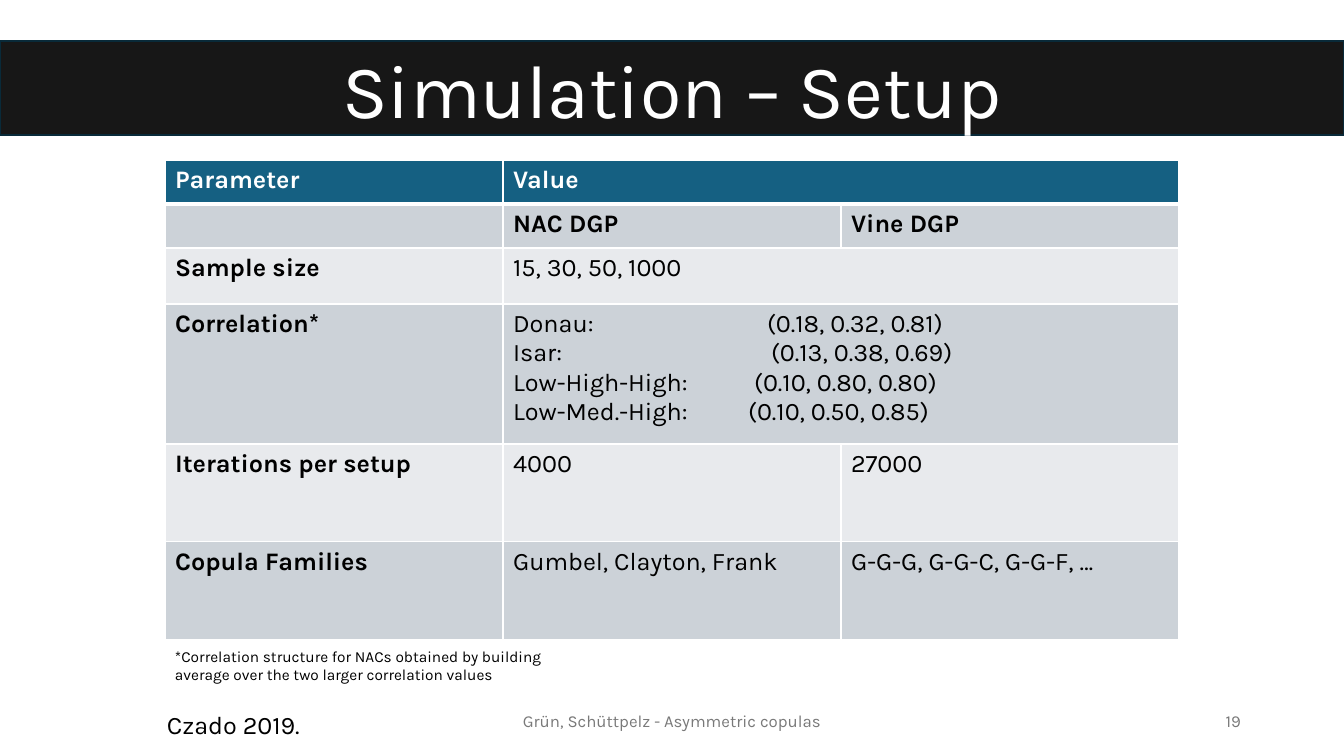
from lxml import etree
from pptx import Presentation
from pptx.dml.color import RGBColor
from pptx.enum.text import MSO_ANCHOR, MSO_AUTO_SIZE, PP_ALIGN
from pptx.oxml.ns import qn
from pptx.util import Pt

LEFT, MID, RIGHT = PP_ALIGN.LEFT, PP_ALIGN.CENTER, PP_ALIGN.RIGHT
TOP, CENTER = MSO_ANCHOR.TOP, MSO_ANCHOR.MIDDLE
FIXED = MSO_AUTO_SIZE.NONE

WHITE = RGBColor(0xFF, 0xFF, 0xFF)
BLACK = RGBColor(0, 0, 0)
INK = RGBColor(0x17, 0x17, 0x17)
EDGE = RGBColor(0x09, 0x2A, 0x39)
GREY = RGBColor(0x79, 0x79, 0x79)
BLUE = RGBColor(0x15, 0x60, 0x82)
DARK = RGBColor(0xCC, 0xD2, 0xD8)
LIGHT = RGBColor(0xE8, 0xEA, 0xED)

SCALE = 914400 / 100.8
COLS = [338, 338, 338]
ROWS = [
    (44, ["Parameter", "Value"]),
    (44, ["", "NAC DGP", "Vine DGP"]),
    (56, ["Sample size", "15, 30, 50, 1000"]),
    (140, ["Correlation*", [
        ("Donau:", "(0.18, 0.32, 0.81)", 254),
        ("Isar:", "(0.13, 0.38, 0.69)", 258),
        ("Low-High-High:", "(0.10, 0.80, 0.80)", 241),
        ("Low-Med.-High:", "(0.10, 0.50, 0.85)", 235),
    ]]),
    (98, ["Iterations per setup", "4000", "27000"]),
    (98, ["Copula Families", "Gumbel, Clayton, Frank", "G-G-G, G-G-C, G-G-F, …"]),
]


def px(n):
    return round(n * SCALE)


def style(para, size, color, bold=False, align=LEFT):
    para.alignment = align
    para.line_spacing = 1.0
    looks = {"name": "Karla", "size": Pt(size), "bold": bold}
    for key, val in looks.items():
        setattr(para.font, key, val)
    para.font.color.rgb = color


def place(shape, box):
    for key, val in zip(("left", "top", "width", "height"), box):
        setattr(shape, key, px(val))


def write(shape, text, size, color, align=LEFT, anchor=CENTER):
    frame = shape.text_frame
    looks = {"word_wrap": True, "auto_size": FIXED, "vertical_anchor": anchor}
    for key, val in looks.items():
        setattr(frame, key, val)
    frame.text = text
    style(frame.paragraphs[0], size, color, align=align)


def banner(slide, text):
    title = slide.shapes.title
    place(title, (0, 41, 1344, 94))
    title.fill.solid()
    title.fill.fore_color.rgb = INK
    title.line.color.rgb = EDGE
    title.line.width = Pt(1.5)
    write(title, text, 54, WHITE, MID)


def label(slide, box, text, size, color, align=LEFT, anchor=CENTER):
    shape = slide.shapes.add_textbox(*map(px, box))
    write(shape, text, size, color, align, anchor)


def rule(cell, side, width):
    line = etree.SubElement(cell._tc.get_or_add_tcPr(), qn("a:ln" + side), w=str(Pt(width)))
    fill = etree.SubElement(line, qn("a:solidFill"))
    etree.SubElement(fill, qn("a:srgbClr"), val=str(WHITE))


def paint(cell, color, head):
    for side in "LRTB":
        rule(cell, side, 3 if head and side == "B" else 1)
    cell.fill.solid()
    cell.fill.fore_color.rgb = color


def pairs(cell, items, color):
    frame = cell.text_frame
    frame.text = "\n".join(f"{name}\t{vals}" for name, vals, _ in items)
    for para, (_, _, stop) in zip(frame.paragraphs, items):
        tabs = etree.SubElement(para._p.get_or_add_pPr(), qn("a:tabLst"))
        etree.SubElement(tabs, qn("a:tab"), pos=str(px(stop)), algn="l")
        style(para, 18, color)


def grid(slide, left, top):
    high = sum(size for size, _ in ROWS)
    box = (left, top, sum(COLS), high)
    table = slide.shapes.add_table(len(ROWS), len(COLS), *map(px, box)).table
    for col, wide in zip(table.columns, COLS):
        col.width = px(wide)
    for r, (size, texts) in enumerate(ROWS):
        table.rows[r].height = px(size)
        back = BLUE if r == 0 else DARK if r % 2 else LIGHT
        ink = WHITE if r == 0 else BLACK
        for c in range(len(COLS)):
            paint(table.cell(r, c), back, r == 0)
        if len(texts) < len(COLS):
            table.cell(r, 1).merge(table.cell(r, 2))
        for c, text in enumerate(texts):
            cell = table.cell(r, c)
            if isinstance(text, list):
                pairs(cell, text, ink)
            else:
                cell.text = text
                style(cell.text_frame.paragraphs[0], 18, ink, r < 2 or c == 0)


def main():
    deck = Presentation()
    deck.slide_width, deck.slide_height = px(1344), px(756)
    slide = deck.slides.add_slide(deck.slide_layouts[5])
    banner(slide, "Simulation – Setup")
    grid(slide, 165, 160)
    note = ("*Correlation structure for NACs obtained by building "
            "average over the two larger correlation values")
    label(slide, (165, 640, 423, 51), note, 11, BLACK)
    label(slide, (157, 704, 349, 40), "Czado 2019.", 18, BLACK, anchor=TOP)
    label(slide, (445, 701, 454, 40), "Grün, Schüttpelz - Asymmetric copulas", 12, GREY, MID)
    label(slide, (949, 701, 302, 40), "19", 12, GREY, RIGHT)
    deck.save("out.pptx")


if __name__ == "__main__":
    main()
